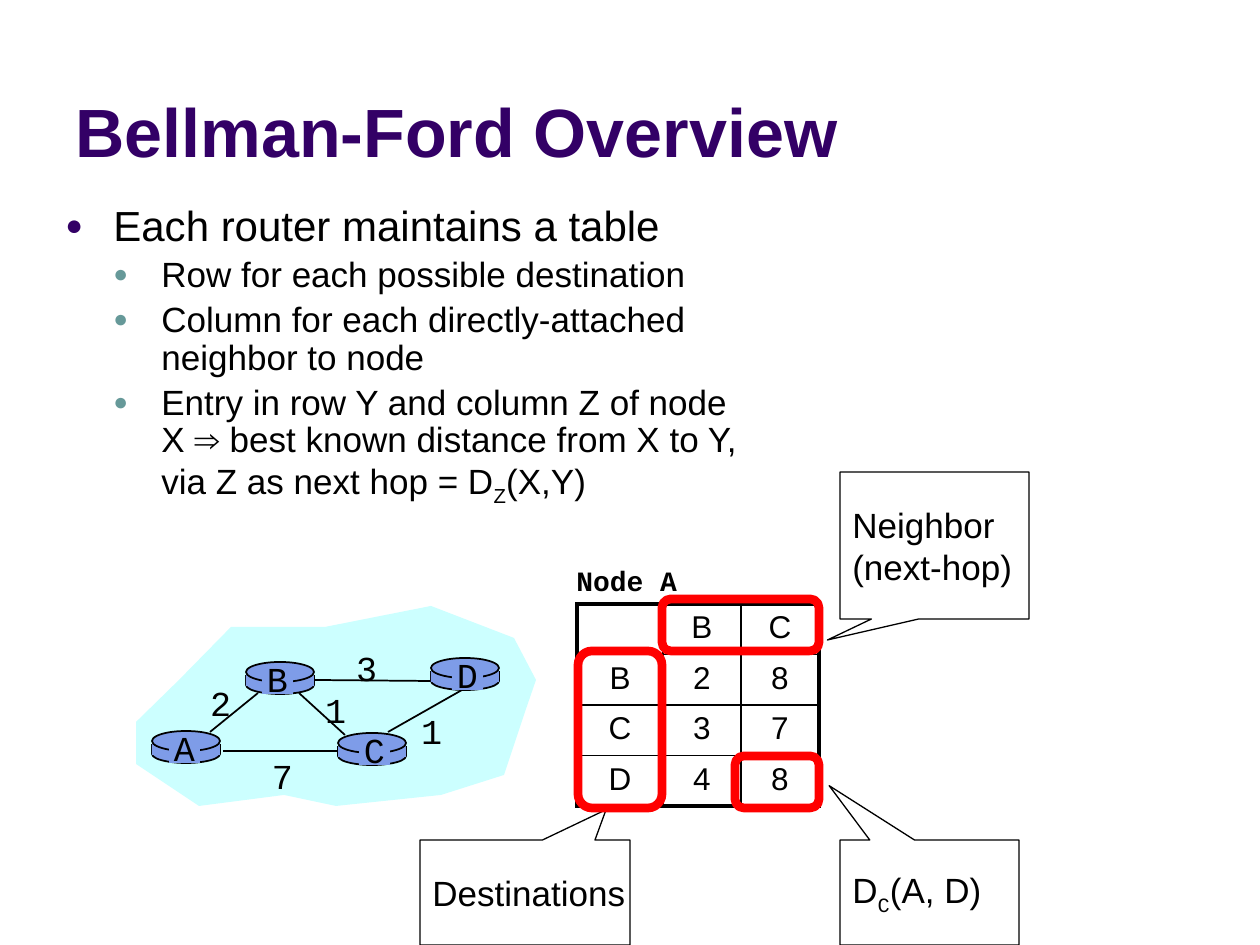
from pptx import Presentation
from pptx.dml.color import RGBColor
from pptx.enum.shapes import MSO_CONNECTOR as Link, MSO_SHAPE as Kind
from pptx.enum.text import MSO_ANCHOR as Anchor, PP_ALIGN as Align
from pptx.oxml.ns import qn
from pptx.util import Emu, Pt
from lxml.etree import SubElement as Sub

# Content; all lengths are px, and _x_ marks a subscript
SIZE = (1260, 945)
TITLE = "Bellman-Ford Overview"
POINTS = [
    (0, "Each router maintains a table"),
    (1, "Row for each possible destination"),
    (1, "Column for each directly-attached neighbor to node"),
    (1, "Entry in row Y and column Z of node X ⇒ best known distance "
        "from X to Y, via Z as next hop = D_Z_(X,Y)"),
]
LEVELS = [(24, "330066"), (20, "669999")]  # text size, bullet colour
CLOUD = [(136, 764), (136, 722), (179, 680), (231, 627), (325, 627),
         (431, 606), (514, 638), (536, 680), (525, 712), (504, 775),
         (441, 795), (336, 806), (284, 795), (199, 806)]
NODES = [("A", 152, 731, 17), ("C", 338, 733, 21),
         ("B", 246, 662, 16), ("D", 431, 658, 21)]  # x, y, label shift
LINKS = [(210, 732, 258, 693), (299, 693, 345, 735), (223, 751, 340, 751),
         (312, 680, 431, 681), (388, 732, 462, 690)]
COSTS = [("2", 199, 675), ("1", 314, 682), ("7", 261, 748),
         ("3", 345, 640), ("1", 410, 703)]
ROWS = [["", "B", "C"], ["B", "2", "8"], ["C", "3", "7"], ["D", "4", "8"]]
COLS, ROW = [86, 78, 78], 50
GRID = (577, 604)
CALLS = [  # text lines, box, tip
    (["Neighbor", "(next-hop)"], (840, 472, 189, 147), (-0.566, 0.643)),
    (["Destinations"], (420, 840, 210, 105), (0.386, -0.789)),
    (["D_C_(A, D)"], (840, 840, 179, 105), (-0.56, -1.017)),
]
RINGS = [(662, 599, 157, 52), (578, 651, 84, 157), (735, 756, 84, 52)]
BLACK, WHITE, DISC, RED = "000000", "FFFFFF", "7E9CE8", "FF0000"
SANS, MONO = "Arial", "Courier New"


def px(n):
    return Emu(round(n * 914400 / 126))


def rgb(code):
    return RGBColor.from_string(code)


def write(para, text, font=SANS, size=20, color=BLACK, bold=False,
          align=Align.LEFT, low=None):
    para.alignment = align
    for i, part in enumerate(text.split("_")):
        run = para.add_run()
        run.text = part
        face = run.font
        face.name, face.size, face.bold = font, Pt(size), bold
        face.color.rgb = rgb(color)
        if i % 2:
            face.name = low or font
            run._r.get_or_add_rPr().set("baseline", "-25000")


def box(x, y, w, h, pad=True, anchor=Anchor.TOP):
    frame = slide.shapes.add_textbox(px(x), px(y), px(w), px(h)).text_frame
    frame.word_wrap, frame.vertical_anchor = True, anchor
    if not pad:
        frame.margin_left = frame.margin_right = 0
    return frame


def paint(item, fill=None, line=None, width=1):
    item.shadow.inherit = False
    if fill:
        item.fill.solid()
        item.fill.fore_color.rgb = rgb(fill)
    else:
        item.fill.background()
    if line:
        item.line.color.rgb = rgb(line)
        item.line.width = Pt(width)
    else:
        item.line.fill.background()


def shape(kind, x, y, w, h, adj=(), **look):
    item = slide.shapes.add_shape(kind, px(x), px(y), px(w), px(h))
    for i, val in enumerate(adj):
        item.adjustments[i] = val
    paint(item, **look)
    return item


def join(x1, y1, x2, y2):
    item = slide.shapes.add_connector(Link.STRAIGHT, px(x1), px(y1),
                                      px(x2), px(y2))
    item.line.color.rgb = rgb(BLACK)
    item.line.width = Pt(1)
    Sub(item._element.spPr, qn("a:effectLst"))


def bullet(para, level):
    size, color = LEVELS[level]
    para.level, para.line_spacing = level, 0.9
    para.space_before = Pt(size * 0.2)
    props = para._p.get_or_add_pPr()
    props.set("marL", str(px(48 * (level + 1))))
    props.set("indent", str(px(-48)))
    Sub(Sub(props, qn("a:buClr")), qn("a:srgbClr"), val=color)
    Sub(props, qn("a:buSzPct"), val="70000")
    Sub(props, qn("a:buFont"), typeface=SANS)
    Sub(props, qn("a:buChar"), char="●")


def router(name, x, y, shift):
    shape(Kind.OVAL, x, y + 14, 68, 18, fill=DISC, line=BLACK)
    for side in (x, x + 68):
        join(side, y + 13, side, y + 23)
    shape(Kind.RECTANGLE, x, y + 13, 68, 11, fill=DISC)
    shape(Kind.OVAL, x, y, 68, 20, fill=DISC, line=BLACK)
    shape(Kind.RECTANGLE, x + shift, y + 3, 31, 29, fill=DISC)
    frame = box(x + shift - 9, y - 11, 49, 54, pad=False)
    write(frame.paragraphs[0], name, font=MONO, align=Align.CENTER)


def edge(cell, tag, width):
    line = Sub(cell._tc.get_or_add_tcPr(), qn("a:" + tag), w=str(Pt(width)))
    Sub(Sub(line, qn("a:solidFill")), qn("a:srgbClr"), val=BLACK)


deck = Presentation()
deck.slide_width, deck.slide_height = map(px, SIZE)
slide = deck.slides.add_slide(deck.slide_layouts[6])

# Title and bullets
write(box(63, 16, 1134, 161, anchor=Anchor.BOTTOM).paragraphs[0], TITLE,
      size=39, color="330066", bold=True)
frame = box(53, 199, 714, 683)
for i, (level, text) in enumerate(POINTS):
    para = frame.add_paragraph() if i else frame.paragraphs[0]
    bullet(para, level)
    write(para, text, size=LEVELS[level][0])

# Network
pen = slide.shapes.build_freeform(*CLOUD[0], scale=914400 / 126)
pen.add_line_segments(CLOUD[1:], close=True)
paint(pen.convert_to_shape(), fill="CCFFFF")
for ends in LINKS:
    join(*ends)
for node in NODES:
    router(*node)
for cost, x, y in COSTS:
    write(box(x, y, 43, 50, pad=False).paragraphs[0], cost, font=MONO,
          align=Align.CENTER)

# Distance table
write(box(564, 557, 160, 46).paragraphs[0], "Node A", font=MONO, size=16,
      bold=True)
high, wide = len(ROWS), len(COLS)
table = slide.shapes.add_table(high, wide, *map(px, GRID), px(sum(COLS)),
                               px(ROW * high)).table
for c, width in enumerate(COLS):
    table.columns[c].width = px(width)
for r, row in enumerate(ROWS):
    table.rows[r].height = px(ROW)
    for c, text in enumerate(row):
        cell = table.cell(r, c)
        para = cell.text_frame.paragraphs[0]
        para.space_before = Pt(3.6)
        write(para, text, size=18, align=Align.CENTER)
        outer = {"lnL": c == 0, "lnR": c == wide - 1,
                 "lnT": r == 0, "lnB": r == high - 1}
        for tag, out in outer.items():
            edge(cell, tag, 2.25 if out else 1)
        cell.fill.solid()
        cell.fill.fore_color.rgb = rgb(WHITE)

# Callouts and red rings
for lines, place, tip in CALLS:
    item = shape(Kind.RECTANGULAR_CALLOUT, *place, adj=tip, fill=WHITE,
                 line=BLACK, width=0.75)
    frame = item.text_frame
    frame.word_wrap, frame.vertical_anchor = True, Anchor.MIDDLE
    frame.margin_right = 0
    for i, text in enumerate(lines):
        para = frame.add_paragraph() if i else frame.paragraphs[0]
        write(para, text, low=MONO)
for ring in RINGS:
    shape(Kind.ROUNDED_RECTANGLE, *ring, adj=[0.167], line=RED, width=5)

deck.save("out.pptx")
